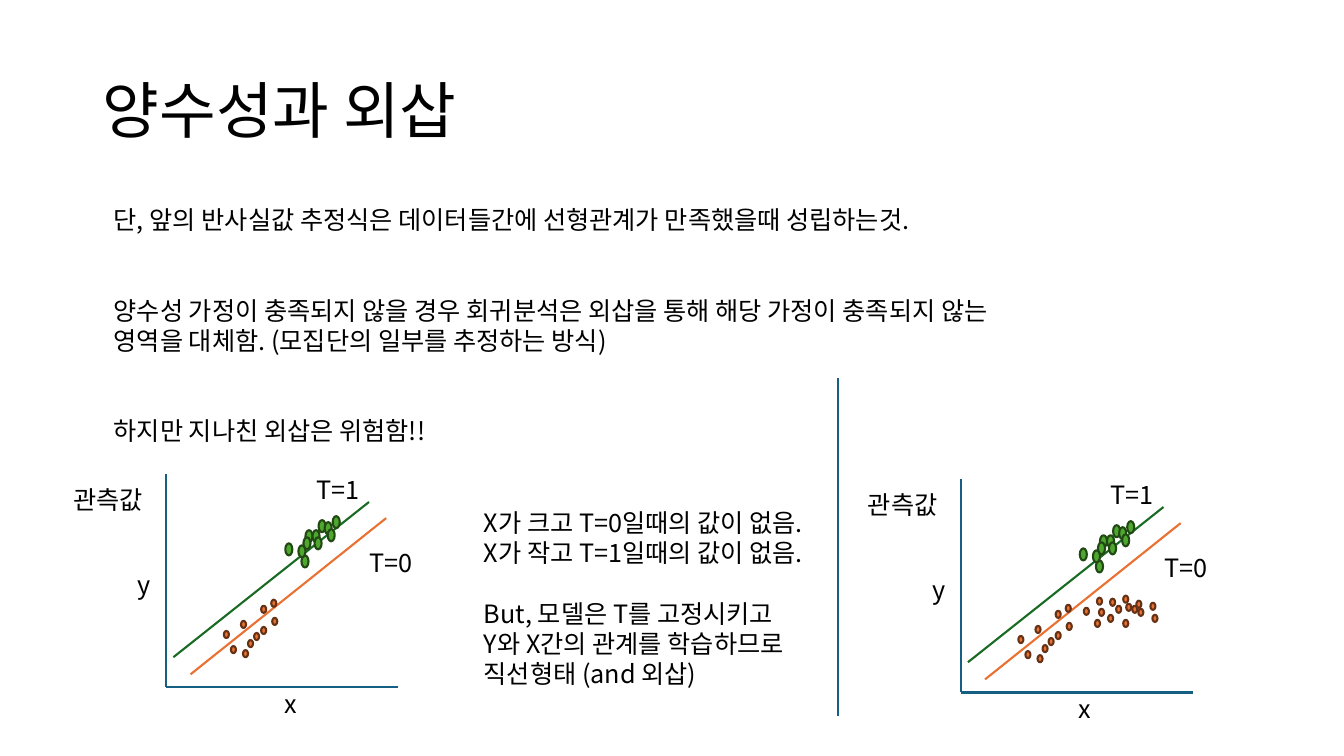
from lxml.etree import SubElement
from pptx import Presentation
from pptx.dml.color import RGBColor
from pptx.enum.shapes import MSO_CONNECTOR, MSO_SHAPE
from pptx.enum.text import MSO_ANCHOR, MSO_AUTO_SIZE
from pptx.oxml.ns import qn
from pptx.util import Pt

PX = 9144  # 100 px to the inch
FONT = "Noto Sans CJK KR"

BLACK = RGBColor(0x00, 0x00, 0x00)
BLUE = RGBColor(0x15, 0x60, 0x82)
GREEN = RGBColor(0x19, 0x6B, 0x24)
ORANGE = RGBColor(0xE9, 0x71, 0x32)
LEAF = RGBColor(0x4E, 0xA7, 0x2E)
MOSS = RGBColor(0x22, 0x49, 0x14)
BROWN = RGBColor(0x66, 0x32, 0x16)

# Frame formats
GROW = {"word_wrap": True, "auto_size": MSO_AUTO_SIZE.SHAPE_TO_FIT_TEXT}
TITLE = {"word_wrap": True, "vertical_anchor": MSO_ANCHOR.MIDDLE}

# Dot formats: width, height, fill, edge
SMALL = (5, 7, ORANGE, BROWN)
LARGE = (7, 12, LEAF, MOSS)

# Dot places, measured in the left plot
LOW = [(241, 645), (252, 628), (259, 622), (246, 635), (239, 616),
       (229, 641), (222, 626), (270, 613), (259, 601), (269, 595)]
HIGH = [(283, 539), (299, 551), (303, 526), (301, 533), (296, 541), (310, 526),
        (312, 533), (316, 516), (322, 518), (325, 525), (330, 512)]
# Dots found only in the right plot, in slide px
EXTRA = [(1075, 603), (1090, 604), (1088, 593), (1086, 615), (1099, 610),
         (1101, 594), (1117, 599), (1114, 615), (1114, 591), (1123, 601),
         (1127, 596), (1107, 601), (1129, 604), (1141, 598), (1143, 610)]

LINES = [((165, 470), (165, 682), BLUE), ((395, 682), (165, 682), BLUE),
         ((366, 498), (172, 652), GREEN), ((383, 514), (189, 669), ORANGE)]
LABELS = [("T=1", 304, 466, 67), ("T=0", 357, 538, 67), ("y", 127, 560, 34),
          ("x", 272, 678, 34), ("관측값", 63, 476, 112)]

# Paragraphs: text, points of space before
BODY = [("단, 앞의 반사실값 추정식은 데이터들간에 선형관계가 만족했을때 성립하는것.", 0),
        ("양수성 가정이 충족되지 않을 경우 회귀분석은 외삽을 통해 해당 가정이 "
         "충족되지 않는 영역을 대체함. (모집단의 일부를 추정하는 방식)", 43),
        ("하지만 지나친 외삽은 위험함!!", 43)]
NOTES = [("X가 크고 T=0일때의 값이 없음.", 0),
         ("X가 작고 T=1일때의 값이 없음.", 0),
         ("But, 모델은 T를 고정시키고", 22),
         ("Y와 X간의 관계를 학습하므로", 0),
         ("직선형태 (and 외삽)", 0)]


def set_all(item, form):
    for name, value in form.items():
        setattr(item, name, value)


def add_text(slide, rows, x, y, w, h, size=18, form=GROW, pitch=None):
    box = slide.shapes.add_textbox(x * PX, y * PX, w * PX, h * PX)
    frame = box.text_frame
    set_all(frame, form)
    for i, (words, gap) in enumerate(rows):
        para = frame.add_paragraph() if i else frame.paragraphs[0]
        set_all(para, {"space_before": Pt(gap), "line_spacing": pitch})
        run = para.add_run()
        run.text = words
        set_all(run.font, {"name": FONT, "size": Pt(size)})
        run.font.color.rgb = BLACK
        # East Asian face for the Korean text
        SubElement(run.font._element, qn("a:ea"), typeface=FONT)


def add_line(slide, start, end, color):
    ends = [n * PX for n in (*start, *end)]
    link = slide.shapes.add_connector(MSO_CONNECTOR.STRAIGHT, *ends)
    link.line.color.rgb = color
    link.line.width = Pt(1.5)
    SubElement(link._element.spPr, qn("a:effectLst"))


def add_dots(slide, spots, style, dx=0, dy=0):
    w, h, fill, edge = style
    for x, y in spots:
        dot = slide.shapes.add_shape(MSO_SHAPE.OVAL, (x + dx) * PX,
                                     (y + dy) * PX, w * PX, h * PX)
        dot.shadow.inherit = False
        dot.fill.solid()
        dot.fill.fore_color.rgb = fill
        dot.line.color.rgb = edge
        dot.line.width = Pt(1.5)


def add_plot(slide, dx, dy):
    for (x1, y1), (x2, y2), color in LINES:
        add_line(slide, (x1 + dx, y1 + dy), (x2 + dx, y2 + dy), color)
    add_dots(slide, LOW, SMALL, dx, dy)
    add_dots(slide, HIGH, LARGE, dx, dy)
    for words, x, y, w in LABELS:
        add_text(slide, [(words, 0)], x + dx, y + dy, w, 40)


def main():
    deck = Presentation()
    set_all(deck, {"slide_width": 1333 * PX, "slide_height": 750 * PX})
    slide = deck.slides.add_slide(deck.slide_layouts[6])

    # Title and body
    add_text(slide, [("양수성과 외삽", 0)], 92, 40, 1150, 145, 44, TITLE, 0.9)
    add_text(slide, BODY, 103, 198, 949, 252)

    # Left plot and its notes
    add_plot(slide, 0, 0)
    add_text(slide, NOTES, 470, 498, 431, 192)

    # Divider and right plot
    add_line(slide, (831, 375), (831, 710), BLUE)
    add_plot(slide, 788, 5)
    add_dots(slide, EXTRA, SMALL)

    deck.save("out.pptx")


if __name__ == "__main__":
    main()
